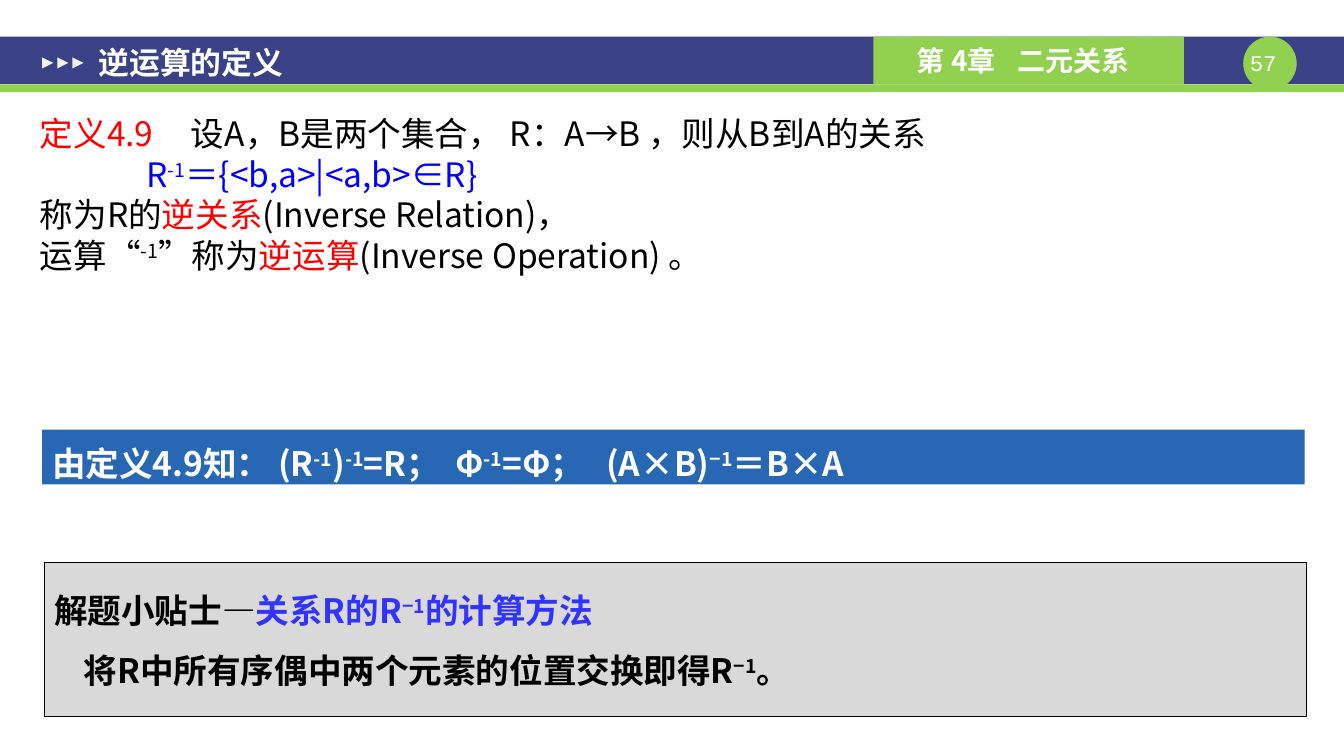
from dataclasses import dataclass

from lxml import etree
from pptx import Presentation
from pptx.dml.color import RGBColor
from pptx.enum.shapes import MSO_SHAPE
from pptx.enum.text import MSO_ANCHOR, MSO_AUTO_SIZE, PP_ALIGN
from pptx.oxml.ns import qn
from pptx.util import Pt

RECT, OVAL, TRI = MSO_SHAPE.RECTANGLE, MSO_SHAPE.OVAL, MSO_SHAPE.ISOSCELES_TRIANGLE
TOP, MID = MSO_ANCHOR.TOP, MSO_ANCHOR.MIDDLE
LEFT, MIDST = PP_ALIGN.LEFT, PP_ALIGN.CENTER
FIXED = MSO_AUTO_SIZE.NONE


@dataclass(frozen=True)
class Theme:
    font: str = "Noto Sans CJK SC"
    mono: str = "Courier New"
    navy: str = "3A4187"
    green: str = "92D050"
    pale: str = "F2F2F2"
    bar: str = "1157AB"
    gray: str = "D9D9D9"
    white: str = "FFFFFF"
    black: str = "000000"
    red: str = "FF0000"
    blue: str = "0000FF"
    tip: str = "3333FF"
    text: int = 24
    title: int = 22
    label: int = 20
    page: int = 16


class Deck:
    def __init__(self, theme, wide, high):
        self.theme = theme
        self.prs = Presentation()
        self.prs.slide_width, self.prs.slide_height = Pt(wide), Pt(high)
        self.slide = self.prs.slides.add_slide(self.prs.slide_layouts[1])

    def shape(self, kind, at, fill, line=None, alpha=None, turn=0):
        item = self.slide.shapes.add_shape(kind, *map(Pt, at))
        item.shadow.inherit = False
        item.rotation = turn
        item.fill.solid()
        item.fill.fore_color.rgb = RGBColor.from_string(fill)
        if alpha:
            color = item._element.spPr.find(qn("a:solidFill"))[0]
            etree.SubElement(color, qn("a:alpha"), val=str(alpha * 1000))
        if line:
            item.line.color.rgb = RGBColor.from_string(line)
            item.line.width = Pt(0.75)
        else:
            item.line.fill.background()
        return item

    def box(self, at):
        return self.slide.shapes.add_textbox(*map(Pt, at))

    def holder(self, index, at):
        item = self.slide.placeholders[index]
        item.left, item.top, item.width, item.height = map(Pt, at)
        self.slide.shapes._spTree.append(item._element)  # bring to front
        return item

    def label(self, item, paras, size, pad=(0, 0, 0, 0), anchor=TOP, **form):
        frame = item.text_frame
        sides = ("margin_left", "margin_top", "margin_right", "margin_bottom")
        look = dict(zip(sides, map(Pt, pad)), word_wrap=True,
                    auto_size=FIXED, vertical_anchor=anchor)
        for key, value in look.items():
            setattr(frame, key, value)
        for num, (runs, indent) in enumerate(paras):
            para = frame.paragraphs[0] if num == 0 else frame.add_paragraph()
            self.para(para, runs, indent, size, **form)

    def para(self, para, runs, indent, size, font=None, bold=False,
             align=LEFT, pitch=None, tabs=()):
        """Runs are (text, colour); text between ^ marks is superscript."""
        props = para._p.get_or_add_pPr()
        props.set("marL", str(Pt(indent)))
        props.set("indent", "0")
        etree.SubElement(props, qn("a:buNone"))
        if tabs:
            stops = etree.SubElement(props, qn("a:tabLst"))
            for pos in tabs:
                etree.SubElement(stops, qn("a:tab"), pos=str(Pt(pos)), algn="l")
        form = dict(alignment=align, space_before=Pt(0), space_after=Pt(0),
                    line_spacing=Pt(pitch) if pitch else 1.0)
        for key, value in form.items():
            setattr(para, key, value)
        face = font or self.theme.font
        for text, color in runs:
            for num, part in enumerate(text.split("^")):
                if not part:
                    continue
                run = para.add_run()
                run.text = part
                for key, value in dict(name=face, size=Pt(size), bold=bold).items():
                    setattr(run.font, key, value)
                run.font.color.rgb = RGBColor.from_string(color)
                mark = run._r.get_or_add_rPr()
                mark.find(qn("a:latin")).addnext(
                    etree.Element(qn("a:ea"), typeface=face))
                if num % 2:
                    mark.set("baseline", "30000")


def main():
    t = Theme()
    deck = Deck(t, 960.48, 540)

    # Header bands, page disc and chapter label
    deck.shape(RECT, (0, 26.2, 960.48, 34), t.navy)
    deck.shape(RECT, (0, 60.2, 960.48, 5.6), t.green)
    deck.shape(OVAL, (888.5, 26.2, 38.2, 38.2), t.green)
    page = deck.box((883.7, 35, 38.2, 19))
    deck.label(page, [([("57", t.white)], 0)], t.page, font=t.mono, align=MIDST)
    unit = deck.shape(RECT, (624.2, 26.2, 221.8, 34), t.green)
    deck.label(unit, [([("第 4章\t二元关系", t.white)], 0)], t.label,
               pad=(31, 0, 0, 0), anchor=MID, bold=True, tabs=[80])
    for num in range(3):
        deck.shape(TRI, (30.2 + 10.8 * num, 41, 7.9, 7.9), t.pale, turn=90)

    # Title
    title = deck.holder(0, (61.2, 28.8, 417.6, 31.7))
    deck.label(title, [([("逆运算的定义", t.white)], 0)], t.title,
               pad=(9.4, 0, 9.4, 0), anchor=MID, bold=True)

    # Definition
    body = deck.holder(1, (28.5, 78.5, 883.4, 229))
    deck.label(body, [
        ([("定义4.9\t", t.red),
          ("设A，B是两个集合， R：A→B ，则从B到A的关系", t.black)], 0),
        ([("R^-1^＝{<b,a>|<a,b>∈R}", t.blue)], 76),
        ([("称为R的", t.black), ("逆关系", t.red),
          ("(Inverse Relation)，", t.black)], 0),
        ([("运算“^-1^”称为", t.black), ("逆运算", t.red),
          ("(Inverse Operation) 。", t.black)], 0),
    ], t.text, pad=(0, 2, 0, 0), pitch=29, tabs=[109.5])

    # Consequences
    bar = deck.shape(RECT, (30.2, 307, 902.2, 39), t.bar, alpha=90)
    deck.label(bar, [
        ([("由定义4.9知： (R^-1^)^-1^=R；\tΦ^-1^=Φ；\t(A×B)^−1^＝B×A", t.white)], 0),
    ], t.text, pad=(7.2, 8.5, 7.2, 0), bold=True, pitch=30, tabs=[344, 470])

    # Tip
    tip = deck.shape(RECT, (31.7, 401.8, 902.2, 109.7), t.gray, line=t.black)
    deck.label(tip, [
        ([("解题小贴士—", t.black), ("关系R的R^−1^的计算方法", t.tip)], 0),
        ([("将R中所有序偶中两个元素的位置交换即得R^−1^。", t.black)], 21),
    ], t.text, pad=(7.2, 5.5, 7.2, 3.6), bold=True, pitch=43)

    deck.prs.save("out.pptx")


if __name__ == "__main__":
    main()
